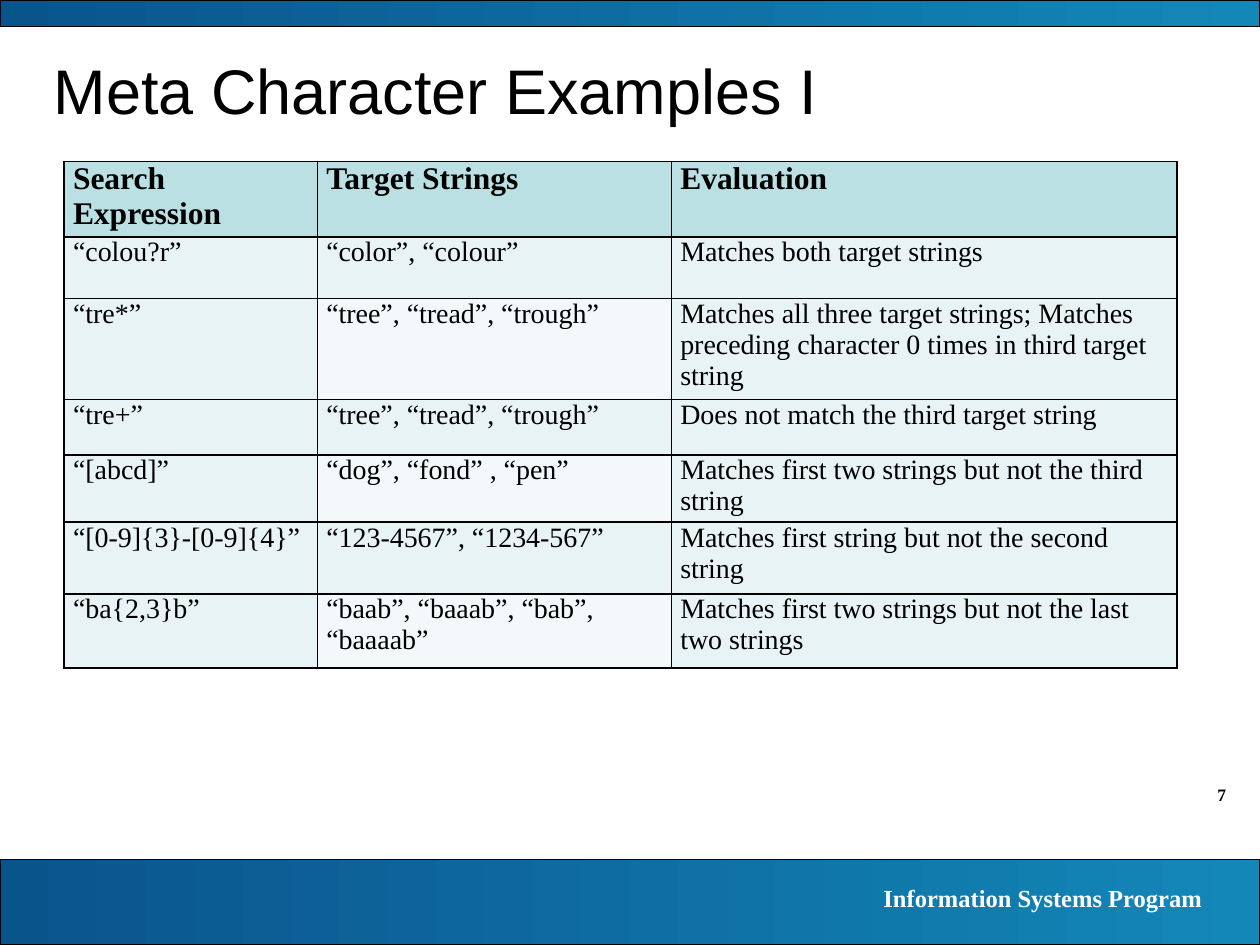
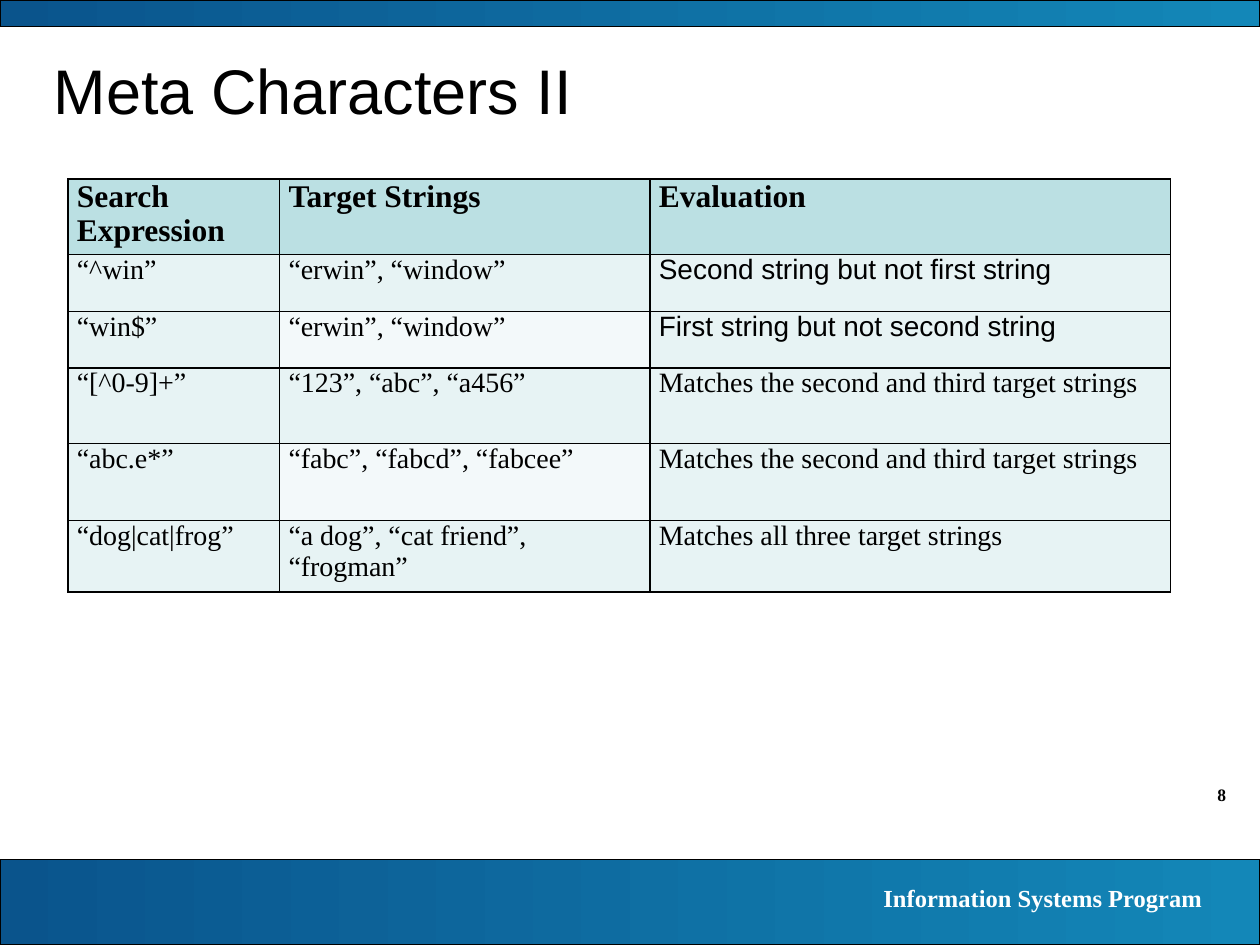
from lxml import etree
from pptx import Presentation
from pptx.dml.color import RGBColor
from pptx.enum.shapes import MSO_SHAPE
from pptx.enum.text import MSO_ANCHOR, PP_ALIGN
from pptx.oxml.ns import qn
from pptx.util import Inches, Pt

RECTANGLE = MSO_SHAPE.RECTANGLE
TOP, MIDDLE = MSO_ANCHOR.TOP, MSO_ANCHOR.MIDDLE
LEFT, RIGHT = PP_ALIGN.LEFT, PP_ALIGN.RIGHT

BLACK = RGBColor(0x00, 0x00, 0x00)
WHITE = RGBColor(0xFF, 0xFF, 0xFF)
DEEP_BLUE = RGBColor(0x0A, 0x54, 0x8C)
BRIGHT_BLUE = RGBColor(0x13, 0x87, 0xB8)
HEADER_TEAL = RGBColor(0xBB, 0xE0, 0xE3)
PALE_TEAL = RGBColor(0xE7, 0xF3, 0xF4)
FAINT_TEAL = RGBColor(0xF3, 0xF9, 0xFA)

SANS = "Arial"
SERIF = "Times New Roman"

SLIDE_WIDTH = Inches(10)
SLIDE_HEIGHT = Inches(7.5)
GRID_UNIT = SLIDE_WIDTH // 10
FIRST_PAGE = 7

HEADER = ("Search Expression", "Target Strings", "Evaluation")

SLIDES = [
    {
        "title": "Meta Character Examples I",
        "box": (0.51, 1.28, 8.83, 4.02),
        "columns": (2.01, 2.81, 4.01),
        "rows": (0.34, 0.49, 0.49, 0.44, 0.49, 0.57, 0.59),
        "sans_cells": (),
        "examples": [
            ("“colou?r”", "“color”, “colour”", "Matches both target strings"),
            ("“tre*”", "“tree”, “tread”, “trough”",
             "Matches all three target strings; Matches preceding character "
             "0 times in third target string"),
            ("“tre+”", "“tree”, “tread”, “trough”",
             "Does not match the third target string"),
            ("“[abcd]”", "“dog”, “fond” , “pen”",
             "Matches first two strings but not the third string"),
            ("“[0-9]{3}-[0-9]{4}”", "“123-4567”, “1234-567”",
             "Matches first string but not the second string"),
            ("“ba{2,3}b”", "“baab”, “baaab”, “bab”, “baaaab”",
             "Matches first two strings but not the last two strings"),
        ],
    },
    {
        "title": "Meta Characters II",
        "box": (0.54, 1.42, 8.75, 3.29),
        "columns": (1.68, 2.94, 4.13),
        "rows": (0.57, 0.45, 0.45, 0.6, 0.61, 0.57),
        "sans_cells": ((1, 2), (2, 2)),
        "examples": [
            ("“^win”", "“erwin”, “window”", "Second string but not first string"),
            ("“win$”", "“erwin”, “window”", "First string but not second string"),
            ("“[^0-9]+”", "“123”, “abc”, “a456”",
             "Matches the second and third target strings"),
            ("“abc.e*”", "“fabc”, “fabcd”, “fabcee”",
             "Matches the second and third target strings"),
            ("“dog|cat|frog”", "“a dog”, “cat friend”, “frogman”",
             "Matches all three target strings"),
        ],
    },
]


def grid(*units):
    return [round(GRID_UNIT * unit) for unit in units]


def write_text(frame, text, size, font=SERIF, color=BLACK, bold=False, align=LEFT):
    frame.word_wrap = True
    paragraph = frame.paragraphs[0]
    paragraph.alignment = align
    run = paragraph.add_run()
    run.text = text
    run.font.size = Pt(size)
    run.font.name = font
    run.font.bold = bold
    run.font.color.rgb = color


def add_label(slide, box, text, size, anchor=TOP, **text_format):
    frame = slide.shapes.add_textbox(*grid(*box)).text_frame
    frame.vertical_anchor = anchor
    write_text(frame, text, size, **text_format)


def add_band(slide, top, height):
    band = slide.shapes.add_shape(RECTANGLE, *grid(0, top, 10, height))
    band.shadow.inherit = False
    band.fill.gradient()
    band.fill.gradient_angle = 0
    for stop, color in zip(band.fill.gradient_stops, (DEEP_BLUE, BRIGHT_BLUE)):
        stop.color.rgb = color
    band.line.color.rgb = BLACK
    band.line.width = Pt(0.75)


def add_borders(cell):
    properties = cell._tc.get_or_add_tcPr()
    for position, side in enumerate(("lnL", "lnR", "lnT", "lnB")):
        line = etree.Element(qn(f"a:{side}"), w=str(Pt(1)))
        fill = etree.SubElement(line, qn("a:solidFill"))
        etree.SubElement(fill, qn("a:srgbClr"), val=str(BLACK))
        properties.insert(position, line)


def cell_color(row, column):
    if row == 0:
        return HEADER_TEAL
    return FAINT_TEAL if row % 2 == 0 and column == 1 else PALE_TEAL


def add_examples_table(slide, box, columns, rows, examples, sans_cells):
    lines = [HEADER, *examples]
    frame = slide.shapes.add_table(len(rows), len(columns), *grid(*box))
    table = frame.table
    table.first_row = False
    table.horz_banding = False
    for column, width in zip(table.columns, grid(*columns)):
        column.width = width
    for row, height in zip(table.rows, grid(*rows)):
        row.height = height
    frame.height = grid(box[3])[0]
    for row, texts in enumerate(lines):
        for column, text in enumerate(texts):
            cell = table.cell(row, column)
            cell.margin_left = cell.margin_right = grid(0.07)[0]
            cell.margin_top = cell.margin_bottom = 0
            cell.fill.solid()
            cell.fill.fore_color.rgb = cell_color(row, column)
            add_borders(cell)
            write_text(cell.text_frame, text, 18 if row == 0 else 16,
                       font=SANS if (row, column) in sans_cells else SERIF,
                       bold=row == 0)


def add_frame(slide, title, page):
    add_label(slide, (9, 6.17, 0.83, 0.27), str(page), 10, bold=True, align=RIGHT)
    add_band(slide, 6.82, 0.68)
    add_band(slide, 0, 0.21)
    add_label(slide, (5.55, 6.96, 4.09, 0.34), "Information Systems Program", 14,
              color=WHITE, bold=True, align=RIGHT)
    add_label(slide, (0.33, 0.33, 9.17, 0.75), title, 36, anchor=MIDDLE, font=SANS)


def main():
    presentation = Presentation()
    presentation.slide_width = SLIDE_WIDTH
    presentation.slide_height = SLIDE_HEIGHT
    for page, content in enumerate(SLIDES, FIRST_PAGE):
        slide = presentation.slides.add_slide(presentation.slide_layouts[6])
        add_frame(slide, content["title"], page)
        add_examples_table(slide, content["box"], content["columns"], content["rows"],
                           content["examples"], content["sans_cells"])
    presentation.save("out.pptx")


if __name__ == "__main__":
    main()
